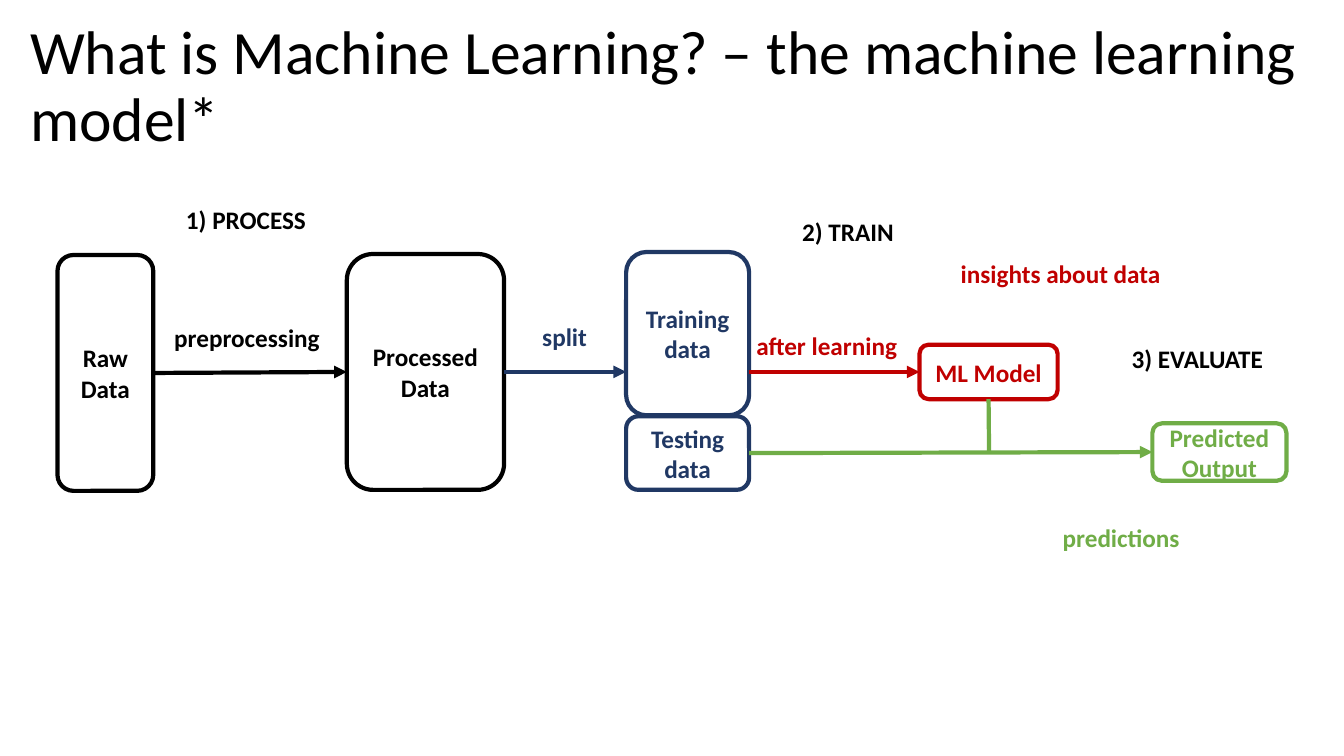
import pptx
import pptx.util
import pptx.dml.color
import pptx.enum.shapes
import pptx.enum.text
from lxml import etree

Inches, Pt = pptx.util.Inches, pptx.util.Pt
RGBColor = pptx.dml.color.RGBColor
MSO_SHAPE = pptx.enum.shapes.MSO_SHAPE
MSO_CONNECTOR = pptx.enum.shapes.MSO_CONNECTOR
PP_ALIGN = pptx.enum.text.PP_ALIGN
MSO_ANCHOR = pptx.enum.text.MSO_ANCHOR

BLACK = RGBColor(0x00, 0x00, 0x00)
WHITE = RGBColor(0xFF, 0xFF, 0xFF)
NAVY = RGBColor(0x20, 0x38, 0x64)
RED = RGBColor(0xC0, 0x00, 0x00)
GREEN = RGBColor(0x70, 0xAD, 0x47)
TOP, LEFT, BOTTOM, RIGHT = range(4)

# Content: lengths in inches
TITLE = "What is Machine Learning? – the machine learning model*"

# key: (text, colour, left, top, width, height)
BOXES = {
    "predicted": ("Predicted Output", GREEN, 11.43, 4.2, 1.33, 0.57),
    "model": ("ML Model", RED, 9.12, 3.42, 1.37, 0.54),
    "raw": ("Raw\nData", BLACK, 0.57, 2.53, 0.95, 2.34),
    "processed": ("Processed\nData", BLACK, 3.44, 2.52, 1.56, 2.34),
    "testing": ("Testing data", NAVY, 6.21, 4.13, 1.22, 0.73),
    "training": ("Training data", NAVY, 6.21, 2.5, 1.22, 1.62),
}

# (text, colour, left, top, width)
LABEL_HEIGHT = 0.54
LABELS = [
    ("after learning", RED, 7.27, 3.16, 1.86),
    ("preprocessing", BLACK, 1.52, 3.08, 1.86),
    ("split", NAVY, 4.93, 3.07, 1.34),
    ("1) PROCESS", BLACK, 1.51, 1.91, 1.86),
    ("2) TRAIN", BLACK, 7.74, 2.03, 1.34),
    ("3) EVALUATE", BLACK, 11.03, 3.29, 1.69),
    ("insights about data", RED, 9.33, 2.44, 2.38),
    ("predictions", GREEN, 9.93, 5.06, 2.38),
]

# (colour, from, to, joined start, joined end, arrowhead)
LINES = [
    (RED, (7.43, 3.69), (9.12, 3.69), None, ("model", LEFT), True),
    (GREEN, (7.43, 4.49), (11.43, 4.49), ("testing", RIGHT), ("predicted", LEFT), True),
    (BLACK, (1.52, 3.69), (3.44, 3.69), ("raw", RIGHT), ("processed", LEFT), True),
    (NAVY, (5, 3.69), (6.21, 3.69), ("processed", RIGHT), None, True),
    (GREEN, (9.81, 3.96), (9.81, 4.5), ("model", BOTTOM), None, False),
]


def write(sp, text, size=18, color=BLACK, bold=True, align=PP_ALIGN.CENTER, spacing=None):
    tf = sp.text_frame
    tf.word_wrap = True
    tf.vertical_anchor = MSO_ANCHOR.MIDDLE
    p = tf.paragraphs[0]
    p.alignment = align
    p.line_spacing = spacing
    for i, line in enumerate(text.split("\n")):
        if i:
            p.add_line_break()
        r = p.add_run()
        r.text = line
        r.font.name = "Calibri"
        r.font.size = Pt(size)
        r.font.bold = bold
        r.font.color.rgb = color


def add_box(s, text, color, *place):
    sp = s.shapes.add_shape(MSO_SHAPE.ROUNDED_RECTANGLE, *map(Inches, place))
    sp.shadow.inherit = False
    sp.fill.solid()
    sp.fill.fore_color.rgb = WHITE
    sp.line.color.rgb = color
    sp.line.width = Pt(3)
    write(sp, text, color=color)
    return sp


def add_line(s, boxes, color, start, end, joined_start, joined_end, arrow):
    cn = s.shapes.add_connector(MSO_CONNECTOR.STRAIGHT, *map(Inches, start + end))
    if joined_start:
        cn.begin_connect(boxes[joined_start[0]], joined_start[1])
    if joined_end:
        cn.end_connect(boxes[joined_end[0]], joined_end[1])
    cn.line.color.rgb = color
    cn.line.width = Pt(3)
    ns = pptx.oxml.ns.qn
    if arrow:
        etree.SubElement(cn.line._get_or_add_ln(), ns("a:tailEnd"), type="triangle")
    etree.SubElement(cn._element.spPr, ns("a:effectLst"))


def main():
    prs = pptx.Presentation()
    prs.slide_width, prs.slide_height = Inches(13.33), Inches(7.5)
    s = prs.slides.add_slide(prs.slide_layouts[6])

    # Title
    title = s.shapes.add_textbox(*map(Inches, (0.2, 0.15, 12.92, 1.45)))
    write(title, TITLE, size=44, bold=False, align=PP_ALIGN.LEFT, spacing=0.9)

    # Stages, then the arrows between them
    boxes = {key: add_box(s, *box) for key, box in BOXES.items()}
    for line in LINES:
        add_line(s, boxes, *line)

    # Labels
    for text, color, *place in LABELS:
        label = s.shapes.add_textbox(*map(Inches, (*place, LABEL_HEIGHT)))
        write(label, text, color=color)

    prs.save("out.pptx")


if __name__ == "__main__":
    main()
